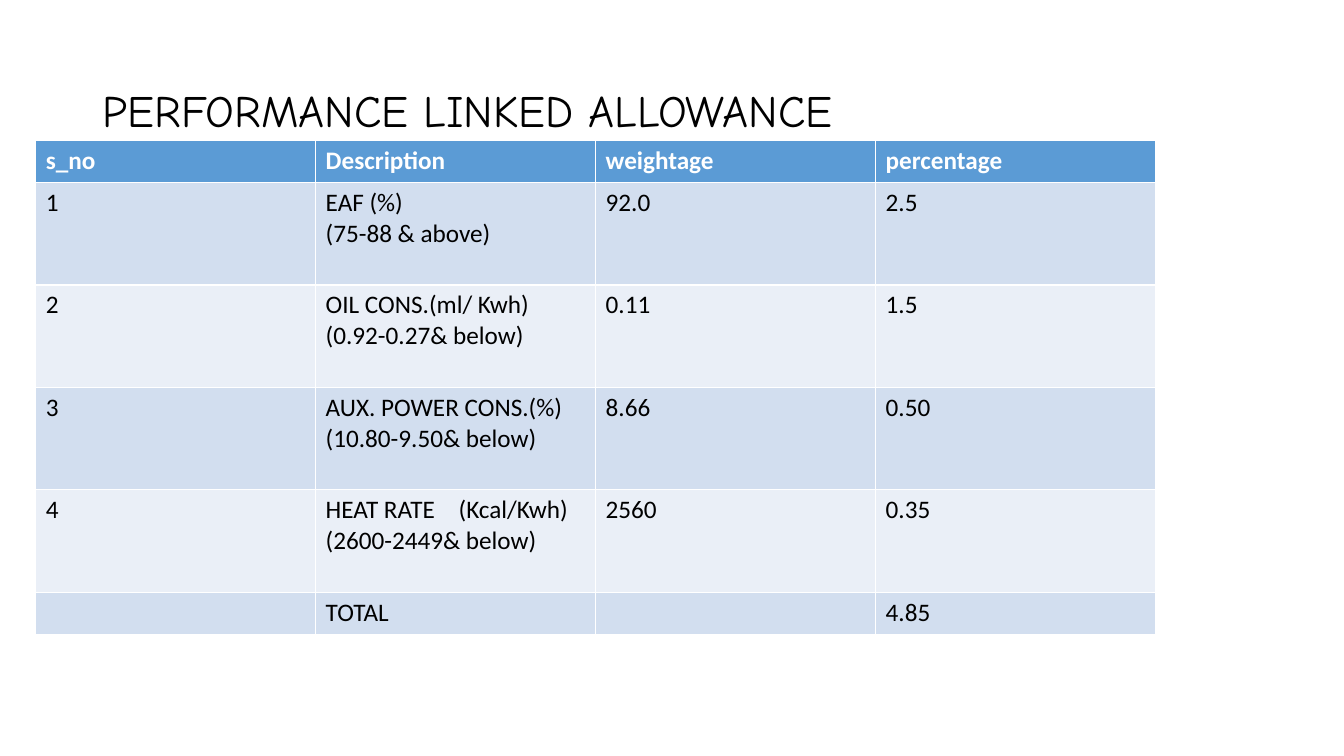
"""Build the performance linked allowance slide."""
from lxml import etree
from pptx import Presentation
from pptx import util as u
from pptx.dml import color
from pptx.enum import text
from pptx.oxml import ns


def paint(hex_code):
    return color.RGBColor.from_string(hex_code)


def style(para, name, size, shade, bold=False):
    for span in para.runs:
        for key, value in {"name": name, "size": u.Pt(size), "bold": bold}.items():
            setattr(span.font, key, value)
        span.font.color.rgb = paint(shade)


deck = Presentation()
deck.slide_width, deck.slide_height = u.Cm(33.87), u.Cm(19.05)
page = deck.slides.add_slide(deck.slide_layouts[6])

title = page.shapes.add_textbox(u.Cm(2.33), u.Cm(1.01), u.Cm(29.21), u.Cm(3.68))
frame = title.text_frame
frame.word_wrap = True
frame.vertical_anchor = text.MSO_ANCHOR.MIDDLE
frame.text = "PERFORMANCE LINKED ALLOWANCE"
frame.paragraphs[0].line_spacing = 0.9
style(frame.paragraphs[0], "Comic Neue", 32, "000000")

allowances = [
    ("s_no", "Description", "weightage", "percentage"),
    ("1", "EAF (%)\n(75-88 & above)", "92.0", "2.5"),
    ("2", "OIL CONS.(ml/ Kwh)\n(0.92-0.27& below)", "0.11", "1.5"),
    ("3", "AUX. POWER CONS.(%)\n(10.80-9.50& below)", "8.66", "0.50"),
    ("4", "HEAT RATE\t(Kcal/Kwh)\n(2600-2449& below)", "2560", "0.35"),
    ("", "TOTAL", "", "4.85"),
]
heights = [1.06] + [2.58] * 4 + [1.06]
grid = page.shapes.add_table(len(allowances), 4, u.Cm(0.9), u.Cm(3.54),
                             u.Cm(28.22), u.Cm(sum(heights))).table

for column in grid.columns:
    column.width = u.Cm(7.055)

for index, values in enumerate(allowances):
    grid.rows[index].height = u.Cm(heights[index])
    header = index == 0
    fill = "5B9BD5" if header else ("EAEFF7", "D2DEEF")[index % 2]
    for cell, value in zip(grid.rows[index].cells, values):
        cell.fill.solid()
        cell.fill.fore_color.rgb = paint(fill)
        cell.text = value
        for para in cell.text_frame.paragraphs:
            style(para, "Calibri", 18, "FFFFFF" if header else "000000", header)
            if "\t" in para.text:
                stops = etree.SubElement(para._p.get_or_add_pPr(), ns.qn("a:tabLst"))
                etree.SubElement(stops, ns.qn("a:tab"), pos=str(u.Cm(3.35)), algn="l")

deck.save("out.pptx")
